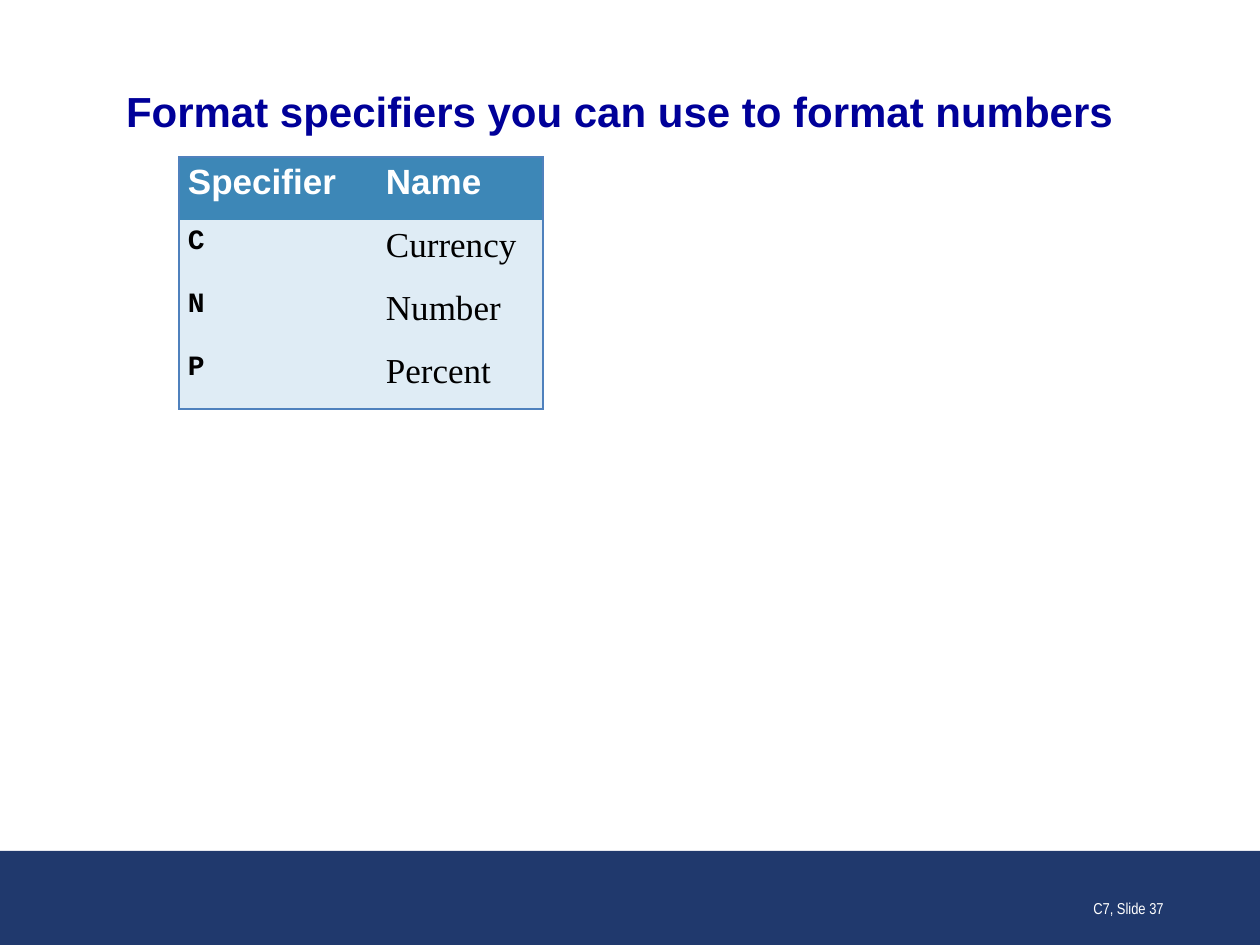
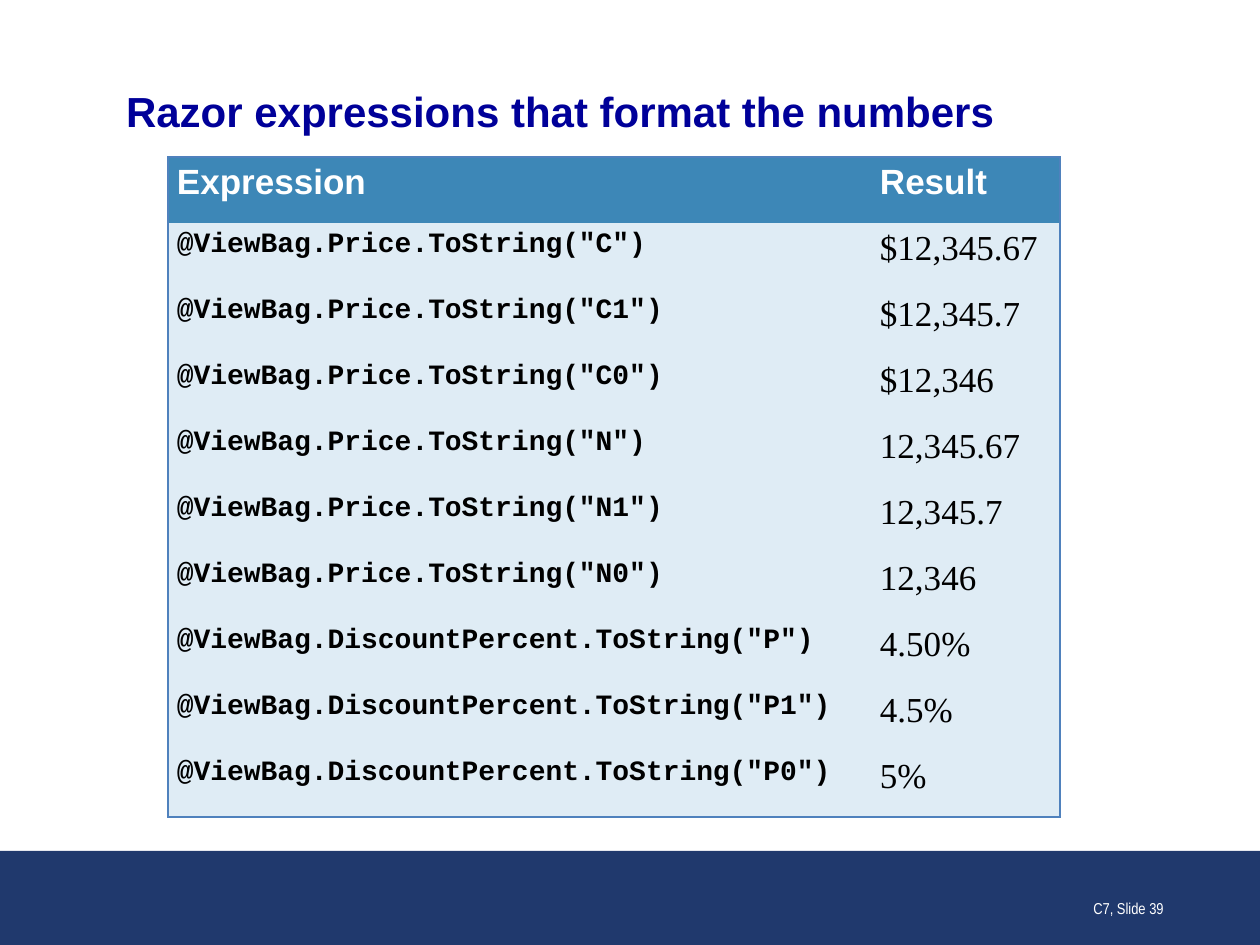
"""Build two slides on number format specifiers and their results."""
import pptx
import pptx.dml.color
import pptx.enum.shapes
import pptx.enum.text
import pptx.oxml
import pptx.oxml.ns
import pptx.util

SLIDES = [
    dict(title="Format specifiers you can use to format numbers",
         foot="C7, Slide 37", left=179, cols=(198, 166), row=63,
         rows=[("Specifier", "Name"), ("C", "Currency"),
               ("N", "Number"), ("P", "Percent")]),
    dict(title="Razor expressions that format the numbers",
         foot="C7, Slide 39", left=168, cols=(703, 189), row=66,
         rows=[("Expression", "Result"),
               ('@ViewBag.Price.ToString("C")', "$12,345.67"),
               ('@ViewBag.Price.ToString("C1")', "$12,345.7"),
               ('@ViewBag.Price.ToString("C0")', "$12,346"),
               ('@ViewBag.Price.ToString("N")', "12,345.67"),
               ('@ViewBag.Price.ToString("N1")', "12,345.7"),
               ('@ViewBag.Price.ToString("N0")', "12,346"),
               ('@ViewBag.DiscountPercent.ToString("P")', "4.50%"),
               ('@ViewBag.DiscountPercent.ToString("P1")', "4.5%"),
               ('@ViewBag.DiscountPercent.ToString("P0")', "5%")]),
]

THEME = dict(
    band="20396D", head="3D87B7", body="DFECF5", edge="4F81BD",
    title=dict(name="Arial", size=24, bold=True, color="000099"),
    label=dict(name="Arial", size=20, bold=True, color="FFFFFF"),
    code=dict(name="Courier New", size=16, bold=True, color="000000"),
    value=dict(name="Times New Roman", size=20, bold=False, color="000000"),
    foot=dict(name="Arial Narrow", size=9, bold=False, color="FFFFFF"),
)
WIDE, HIGH = 1260, 945
TABLE_TOP = 157
BAND = (0, 851, WIDE, 94)
TITLE = (126, 86, 1008, 50)
FOOT = (914, 861, 262, 63)
GAP = pptx.util.Pt(6)
ALIGN = pptx.enum.text.PP_ALIGN
ANCHOR = pptx.enum.text.MSO_ANCHOR


def px(num):
    """Turn pixels into EMU."""
    return pptx.util.Inches(num / 126)


def rgb(code):
    """Turn a hex code into a colour."""
    return pptx.dml.color.RGBColor.from_string(code)


def apply(item, **form):
    """Set each format value on an item."""
    for key, val in form.items():
        setattr(item, key, val)


def paint(item, code):
    """Fill an item with one colour."""
    item.fill.solid()
    item.fill.fore_color.rgb = rgb(code)


def write(frame, text, style, **form):
    """Write one styled paragraph into a text frame."""
    frame.text = text
    para = frame.paragraphs[0]
    apply(para, **form)
    font = para.runs[0].font
    look = THEME[style]
    apply(font, name=look["name"], size=pptx.util.Pt(look["size"]),
          bold=look["bold"])
    font.color.rgb = rgb(look["color"])


def outline(cell, sides):
    """Draw the given sides of a cell and clear the others."""
    props = cell._tc.get_or_add_tcPr()
    space = pptx.oxml.ns.nsdecls("a")
    for side in "LRTB":
        ink = (f'<a:solidFill><a:srgbClr val="{THEME["edge"]}"/></a:solidFill>'
               if side in sides else "<a:noFill/>")
        props.append(pptx.oxml.parse_xml(
            f'<a:ln{side} {space} w="12700">{ink}</a:ln{side}>'))


def add_grid(slide, data):
    """Add the table of one slide."""
    rows, cols, step = data["rows"], data["cols"], data["row"]
    grid = slide.shapes.add_table(
        len(rows), len(cols), px(data["left"]), px(TABLE_TOP),
        px(sum(cols)), px(step * len(rows))).table
    apply(grid, first_row=False, horz_banding=False)
    for col, width in zip(grid.columns, cols):
        col.width = px(width)
    for r, row in enumerate(rows):
        grid.rows[r].height = px(step)
        for c, text in enumerate(row):
            cell = grid.cell(r, c)
            apply(cell, margin_left=px(9), margin_right=px(9),
                  margin_top=px(6), margin_bottom=px(6))
            sides = "LR"[c]
            sides += "T" if r == 0 else ""
            sides += "B" if r == len(rows) - 1 else ""
            outline(cell, sides)
            paint(cell, THEME["body" if r else "head"])
            style = ("code", "value")[c] if r else "label"
            write(cell.text_frame, text, style,
                  space_before=GAP, space_after=GAP)


def add_frame(slide, data):
    """Add the band, title and footer of one slide."""
    band = slide.shapes.add_shape(
        pptx.enum.shapes.MSO_SHAPE.RECTANGLE, *map(px, BAND))
    band.shadow.inherit = False
    paint(band, THEME["band"])
    band.line.fill.background()

    title = slide.shapes.title
    apply(title, **dict(zip(("left", "top", "width", "height"),
                            map(px, TITLE))))
    apply(title.text_frame, margin_left=0, margin_right=0, margin_top=0,
          margin_bottom=0, word_wrap=True, vertical_anchor=ANCHOR.MIDDLE,
          auto_size=pptx.enum.text.MSO_AUTO_SIZE.SHAPE_TO_FIT_TEXT)
    write(title.text_frame, data["title"], "title",
          alignment=ALIGN.LEFT, space_after=GAP)

    foot = slide.shapes.add_textbox(*map(px, FOOT)).text_frame
    apply(foot, word_wrap=True, vertical_anchor=ANCHOR.BOTTOM)
    write(foot, data["foot"], "foot", alignment=ALIGN.RIGHT)


def main():
    """Build and save the deck."""
    deck = pptx.Presentation()
    apply(deck, slide_width=px(WIDE), slide_height=px(HIGH))
    for data in SLIDES:
        slide = deck.slides.add_slide(deck.slide_layouts[5])
        add_frame(slide, data)
        add_grid(slide, data)
    deck.save("out.pptx")


if __name__ == "__main__":
    main()
